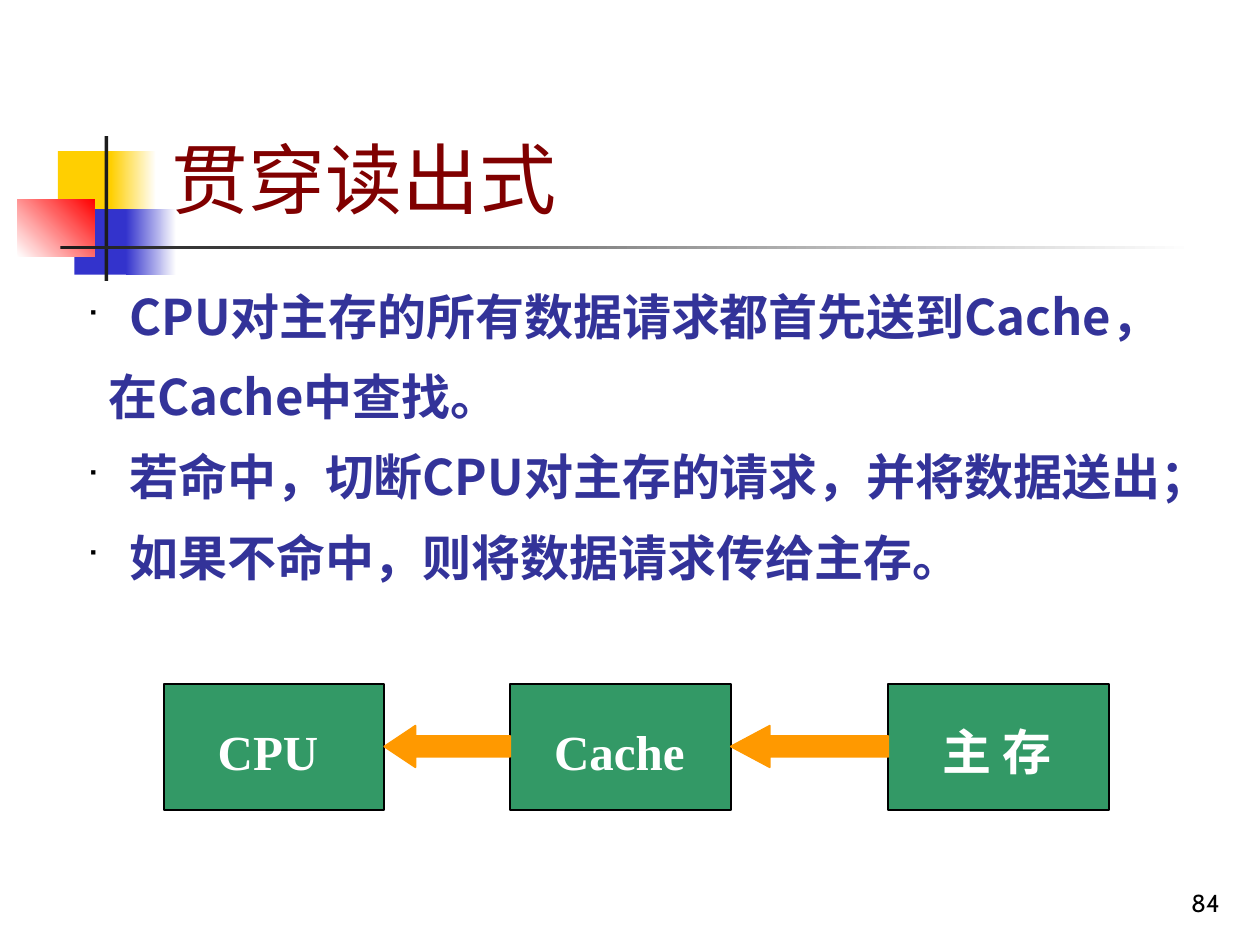
from dataclasses import dataclass

from lxml import etree
from pptx import Presentation
from pptx import util as u
from pptx.dml.color import RGBColor
from pptx.enum import shapes, text
from pptx.oxml import ns


@dataclass(frozen=True)
class Theme:
    yellow: str = "FFCF01"
    blue: str = "3333CC"
    red: str = "FF0000"
    dark: str = "1C1C1C"
    white: str = "FFFFFF"
    black: str = "000000"
    title: str = "800000"
    body: str = "333399"
    unit: str = "339966"
    arrow: str = "FF9900"
    title_size: int = 44
    body_size: int = 28
    number_size: int = 14
    latin: str = "Cabin"
    serif: str = "Times New Roman"
    cjk: str = "Noto Sans CJK SC"


THEME = Theme()

POINTS = [
    # text, has a bullet
    (" CPU对主存的所有数据请求都首先送到Cache，", True),
    ("在Cache中查找。", False),
    (" 若命中，切断CPU对主存的请求，并将数据送出；", True),
    (" 如果不命中，则将数据请求传给主存。", True),
]

UNITS = [
    # label, left of the unit, left and width of its label
    ("CPU", 1.3, 1.63, 1.17),
    ("Cache", 4.05, 4.3, 1.33),
    ("主 存", 7.05, 7.38, 1.08),
]
UNIT_TOP, UNIT_WIDTH, UNIT_HEIGHT = 5.43, 1.75, 1
ARROW_TOP, ARROW_HEIGHT = 5.76, 0.33


def rgb(value):
    return RGBColor.from_string(value)


def inches(*lengths):
    return [u.Inches(length) for length in lengths]


def add_block(slide, box, color, fade_to=None, angle=0, line=None,
              kind=shapes.MSO_SHAPE.RECTANGLE):
    block = slide.shapes.add_shape(kind, *inches(*box))
    block.shadow.inherit = False
    if fade_to:
        block.fill.gradient()
        block.fill.gradient_angle = angle
        for stop, stop_color, position in zip(
                block.fill.gradient_stops, (color, fade_to), (0, 1)):
            stop.color.rgb = rgb(stop_color)
            stop.position = position
    else:
        block.fill.solid()
        block.fill.fore_color.rgb = rgb(color)
    if line:
        block.line.color.rgb = rgb(line)
        block.line.width = u.Pt(1)
    else:
        block.line.fill.background()
    return block


def add_text_box(slide, box, anchor=text.MSO_ANCHOR.TOP):
    frame = slide.shapes.add_textbox(*inches(*box)).text_frame
    frame.word_wrap = True
    frame.vertical_anchor = anchor
    return frame


def write(paragraph, content, *, size, color, font, bold=False,
          align=text.PP_ALIGN.LEFT):
    paragraph.alignment = align
    run = paragraph.add_run()
    run.text = content
    run.font.size = u.Pt(size)
    run.font.bold = bold
    run.font.name = font
    run.font.color.rgb = rgb(color)
    east_asian = etree.SubElement(run.font._element, ns.qn("a:ea"))
    east_asian.set("typeface", THEME.cjk)


def add_bullet(paragraph):
    properties = paragraph._p.get_or_add_pPr()
    properties.set("marL", str(u.Inches(0.25)))
    properties.set("indent", str(u.Inches(-0.25)))
    color = etree.SubElement(properties, ns.qn("a:buClr"))
    etree.SubElement(color, ns.qn("a:srgbClr")).set("val", THEME.black)
    for tag, name, value in (("a:buSzPct", "val", "60000"),
                             ("a:buFont", "typeface", "Wingdings"),
                             ("a:buChar", "char", "■")):
        etree.SubElement(properties, ns.qn(tag)).set(name, value)


def add_decoration(slide):
    add_block(slide, (0.46, 1.2, 0.48, 0.52), THEME.yellow)
    add_block(slide, (0.88, 1.2, 0.36, 0.52), THEME.yellow, THEME.white)
    add_block(slide, (0.59, 1.66, 0.46, 0.52), THEME.blue)
    add_block(slide, (1, 1.66, 0.4, 0.52), THEME.blue, THEME.white)
    add_block(slide, (0.14, 1.58, 0.61, 0.46), THEME.white, THEME.red, 45)
    add_block(slide, (0.83, 1.08, 0.03, 1.15), THEME.dark)
    add_block(slide, (0.48, 1.95, 9, 0.03), THEME.dark, THEME.white)


def add_points(slide):
    frame = add_text_box(slide, (0.59, 2.18, 9.06, 3.03))
    for index, (content, bulleted) in enumerate(POINTS):
        paragraph = frame.add_paragraph() if index else frame.paragraphs[0]
        paragraph.line_spacing = 1.1
        paragraph.space_after = u.Pt(1.8)
        if index:
            paragraph.space_before = u.Pt(7)
        if bulleted:
            add_bullet(paragraph)
        else:
            paragraph._p.get_or_add_pPr().set("marL", str(u.Inches(0.17)))
        write(paragraph, content, size=THEME.body_size, color=THEME.body,
              font=THEME.cjk, bold=True)


def add_read_path(slide):
    for label, left, label_left, label_width in UNITS:
        add_block(slide, (left, UNIT_TOP, UNIT_WIDTH, UNIT_HEIGHT),
                  THEME.unit, line=THEME.black)
        frame = add_text_box(slide, (label_left, 5.68, label_width, 0.57))
        write(frame.paragraphs[0], label, size=THEME.body_size,
              color=THEME.white, font=THEME.serif, bold=True)

    # Each arrow fills the gap between two neighbouring units
    for target, source in zip(UNITS, UNITS[1:]):
        start = target[1] + UNIT_WIDTH
        gap = source[1] - start
        arrow = add_block(slide, (start, ARROW_TOP, gap, ARROW_HEIGHT),
                          THEME.arrow, line=THEME.arrow,
                          kind=shapes.MSO_SHAPE.LEFT_ARROW)
        arrow.adjustments[0] = 0.5
        arrow.adjustments[1] = 0.75 * gap


def main():
    deck = Presentation()
    deck.slide_width, deck.slide_height = inches(10, 7.5)
    slide = deck.slides.add_slide(deck.slide_layouts[6])

    add_decoration(slide)

    # Title and page number
    title = add_text_box(slide, (1.26, 0.23, 8.52, 1.6), text.MSO_ANCHOR.BOTTOM)
    write(title.paragraphs[0], "贯穿读出式", size=THEME.title_size,
          color=THEME.title, font=THEME.latin)
    number = add_text_box(slide, (7.7, 6.83, 2.08, 0.5), text.MSO_ANCHOR.BOTTOM)
    write(number.paragraphs[0], "84", size=THEME.number_size,
          color=THEME.black, font=THEME.latin, align=text.PP_ALIGN.RIGHT)

    add_read_path(slide)
    add_points(slide)
    deck.save("out.pptx")


if __name__ == "__main__":
    main()
